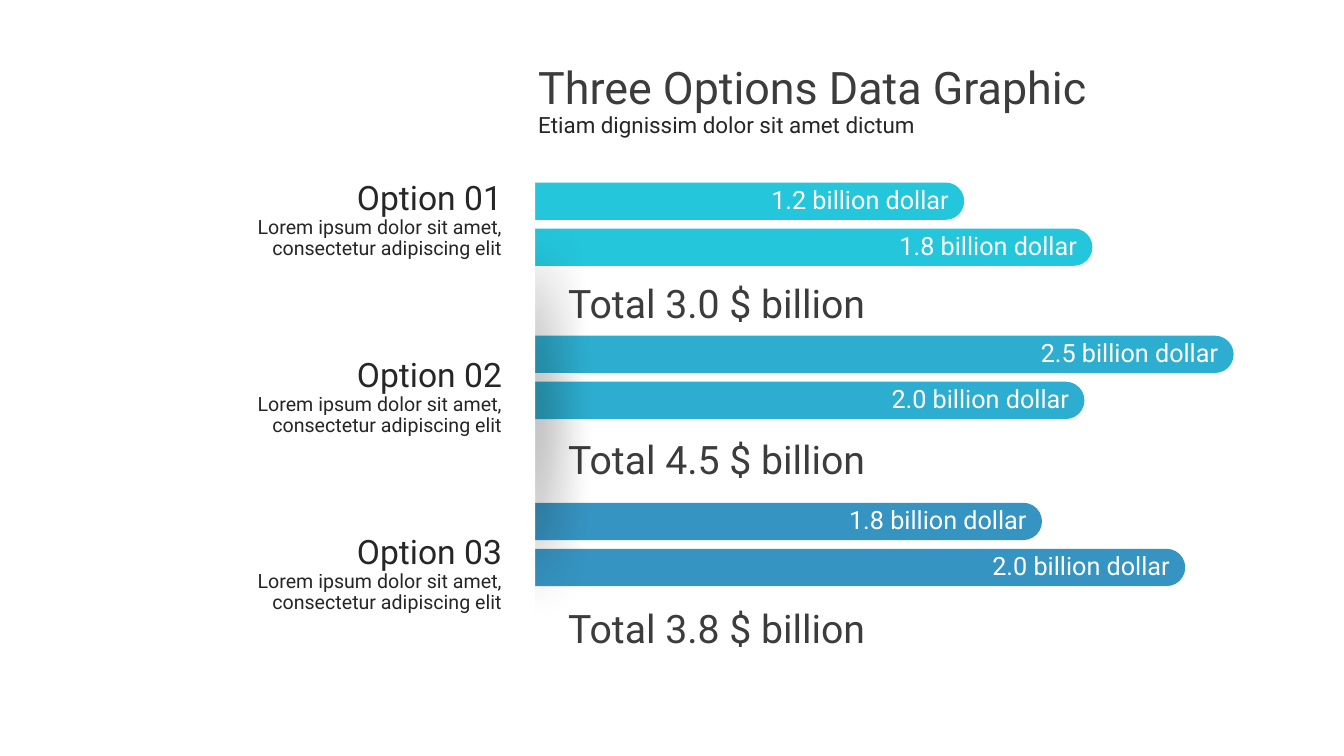
from dataclasses import dataclass

from lxml import etree
from pptx import Presentation
from pptx.dml.color import RGBColor
from pptx.enum import shapes, text
from pptx.oxml import ns
from pptx.util import Cm, Pt


@dataclass(frozen=True)
class Theme:
    font: str = "Roboto"
    heading: str = "3C3C3C"
    body: str = "262626"
    white: str = "FFFFFF"
    shade: str = "111111"
    title_size: int = 32
    subtitle_size: int = 16
    total_size: int = 28
    option_size: int = 24
    value_size: int = 18
    detail_size: int = 14


THEME = Theme()
DETAIL = "Lorem ipsum dolor sit amet, consectetur adipiscing elit"
BAR_LEFT, BAR_HEIGHT, BAR_STEP = 12.9, 0.94, 1.16
OPTION_TOP, OPTION_STEP = 4.45, 4.46

# name, colour, top of first bar, top of total, total, bars (value, length)
OPTIONS = [
    ("Option 01", "24C6DC", 4.6, 7.04, "Total 3.0 $ billion",
     [("1.2 billion dollar", 11.4), ("1.8 billion dollar", 14.63)]),
    ("Option 02", "2DADCF", 8.46, 10.97, "Total 4.5 $ billion",
     [("2.5 billion dollar", 18.19), ("2.0 billion dollar", 14.43)]),
    ("Option 03", "3694C2", 12.67, 15.24, "Total 3.8 $ billion",
     [("1.8 billion dollar", 13.36), ("2.0 billion dollar", 16.97)]),
]


def lengths(box):
    return [Cm(value) for value in box]


def write(frame, words, *, size, color, align=text.PP_ALIGN.LEFT, spacing=0.9,
          anchor=text.MSO_ANCHOR.TOP, add=False):
    """Put one formatted paragraph in the frame, after the others if add is set."""
    frame.word_wrap = True
    frame.auto_size = text.MSO_AUTO_SIZE.NONE
    frame.vertical_anchor = anchor
    paragraph = frame.add_paragraph() if add else frame.paragraphs[0]
    paragraph.alignment = align
    paragraph.line_spacing = spacing
    run = paragraph.add_run()
    run.text = words
    run.font.name = THEME.font
    run.font.size = Pt(size)
    run.font.color.rgb = RGBColor.from_string(color)


def add_filled(slide, kind, box, color):
    shape = slide.shapes.add_shape(kind, *lengths(box))
    shape.shadow.inherit = False
    shape.fill.solid()
    shape.fill.fore_color.rgb = RGBColor.from_string(color)
    shape.line.fill.background()
    return shape


def add_title(slide, box):
    title = slide.shapes.title
    title.left, title.top, title.width, title.height = lengths(box)
    write(title.text_frame, "Three Options Data Graphic",
          size=THEME.title_size, color=THEME.heading)
    write(title.text_frame, "Etiam dignissim dolor sit amet dictum",
          size=THEME.subtitle_size, color=THEME.body, add=True)


def add_bars(slide, left, top, bars, color):
    for index, (value, length) in enumerate(bars):
        box = (left, top + index * BAR_STEP, length, BAR_HEIGHT)
        bar = add_filled(slide, shapes.MSO_SHAPE.ROUNDED_RECTANGLE, box, color)
        bar.adjustments[0] = 0.5
        write(bar.text_frame, value, size=THEME.value_size, color=THEME.white,
              align=text.PP_ALIGN.RIGHT, spacing=0.89,
              anchor=text.MSO_ANCHOR.MIDDLE)


def add_total(slide, box, words):
    total = slide.shapes.add_textbox(*lengths(box))
    write(total.text_frame, words, size=THEME.total_size, color=THEME.heading)


def add_fold(slide, box):
    """Cover the bar ends with a white panel that casts a soft shade to its right."""
    left, top, width, height = box
    shade_width, shade_height = 3.23, 17.63
    shade_box = (left + width - shade_width / 2, top + 0.55, shade_width, shade_height)
    shade = add_filled(slide, shapes.MSO_SHAPE.OVAL, shade_box, THEME.shade)
    properties = shade.element.spPr
    color = properties.find(ns.qn("a:solidFill"))[0]
    etree.SubElement(color, ns.qn("a:alpha"), val="49000")
    effects = properties.find(ns.qn("a:effectLst"))
    etree.SubElement(effects, ns.qn("a:softEdge"), rad=str(Pt(35)))
    add_filled(slide, shapes.MSO_SHAPE.RECTANGLE, box, THEME.white)


def add_option_label(slide, box, name):
    frame = slide.shapes.add_textbox(*lengths(box)).text_frame
    style = {"color": THEME.body, "align": text.PP_ALIGN.RIGHT, "spacing": 0.89}
    write(frame, name, size=THEME.option_size, **style)
    write(frame, DETAIL, size=THEME.detail_size, add=True, **style)


def main():
    presentation = Presentation()
    presentation.slide_width, presentation.slide_height = Cm(33.87), Cm(19.05)
    slide = presentation.slides.add_slide(presentation.slide_layouts[5])
    add_title(slide, (13.31, 1.52, 14.73, 2.26))
    for _, color, bars_top, total_top, total, bars in OPTIONS:
        add_bars(slide, BAR_LEFT, bars_top, bars, color)
        add_total(slide, (14.07, total_top, 14.63, 1.45), total)
    add_fold(slide, (0, 1.19, 13.49, 16.54))
    for index, (name, *_) in enumerate(OPTIONS):
        top = OPTION_TOP + index * OPTION_STEP
        add_option_label(slide, (5.51, top, 7.39, 2.26), name)
    presentation.save("out.pptx")


if __name__ == "__main__":
    main()
